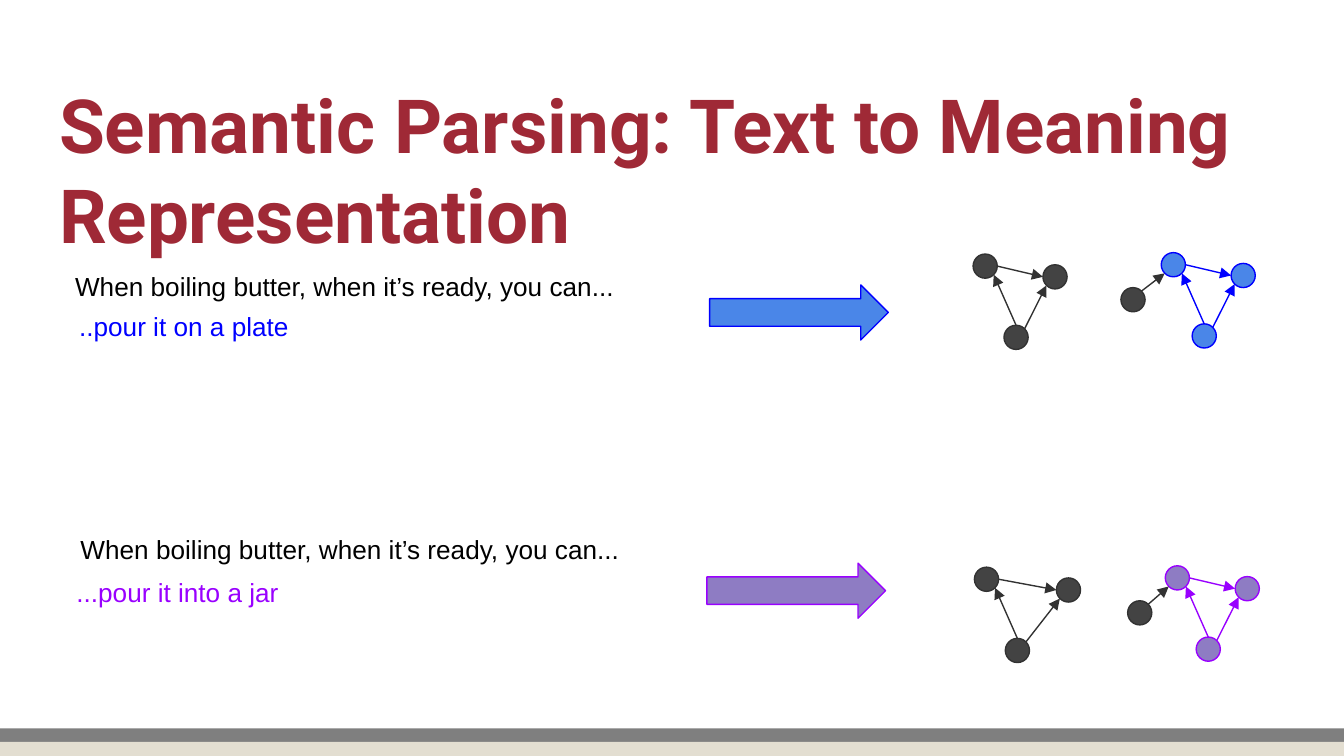
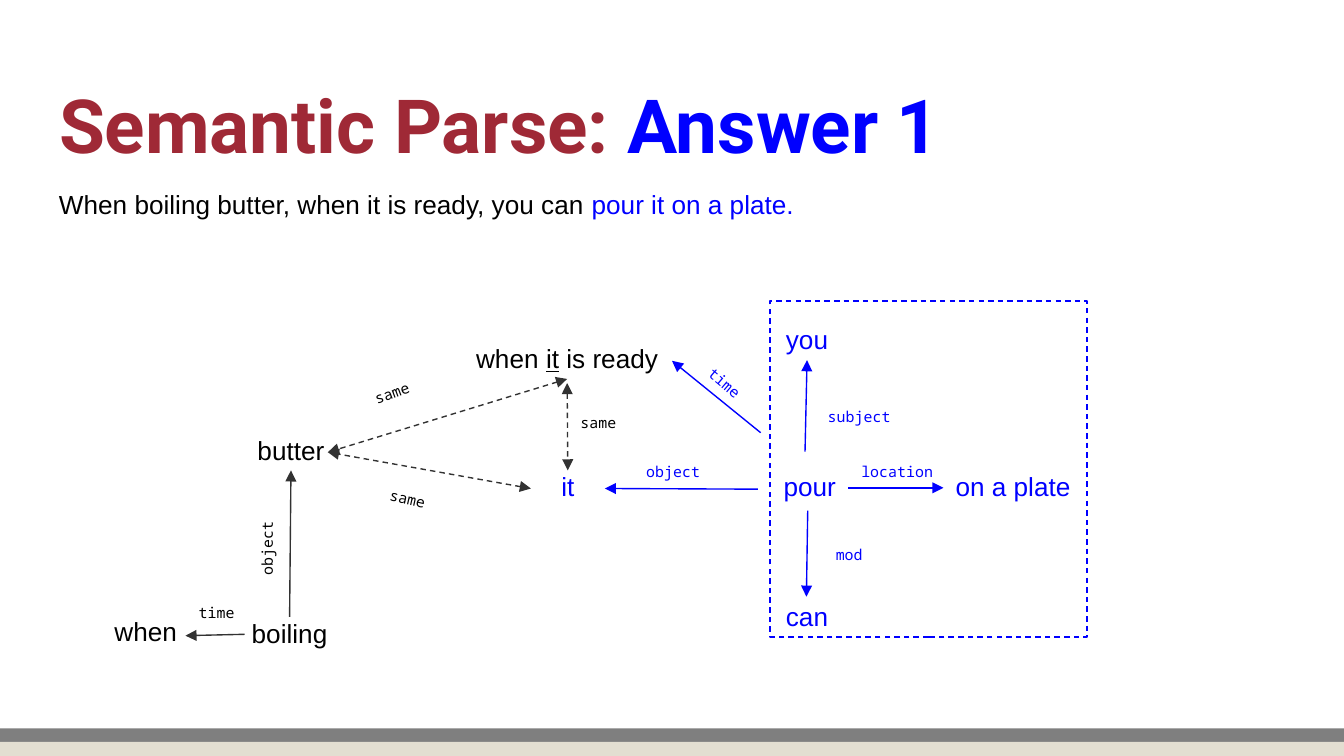
from dataclasses import dataclass

from lxml.etree import SubElement
from pptx import Presentation
from pptx.dml.color import RGBColor
from pptx.enum.dml import MSO_LINE
from pptx.enum.shapes import MSO_CONNECTOR, MSO_SHAPE
from pptx.enum.text import MSO_ANCHOR, MSO_AUTO_SIZE, PP_ALIGN
from pptx.oxml.ns import qn
from pptx.util import Inches, Pt

BLACK, INK, NODE = "000000", "323232", "434343"
BLUE, SKY = "0000FF", "4A86E8"
VIOLET, LILAC = "9900FF", "8E7CC3"
CRIMSON, GRAY, SAND = "9F2936", "7F7F7F", "E3DED1"
DOT = 0.18
TITLE_BOX = (0.34, 0.49, 9.32, 0.63)


def paint(color_format, value):
    color_format.rgb = RGBColor.from_string(value)


def draw_shape(shapes, kind, box, fill=None, line=None):
    shape = shapes.add_shape(kind, *map(Inches, box))
    shape.shadow.inherit = False
    if fill:
        shape.fill.solid()
        paint(shape.fill.fore_color, fill)
    else:
        shape.fill.background()
    if line:
        paint(shape.line.color, line)
        shape.line.width = Pt(0.75)
    else:
        shape.line.fill.background()
    return shape


def draw_line(shapes, start, end, color=INK, dashed=False, both=False):
    line = shapes.add_connector(MSO_CONNECTOR.STRAIGHT, *map(Inches, (*start, *end)))
    paint(line.line.color, color)
    line.line.width = Pt(0.75)
    if dashed:
        line.line.dash_style = MSO_LINE.DASH
    stroke = line.line._get_or_add_ln()
    if both:
        SubElement(stroke, qn("a:headEnd"), type="triangle")
    SubElement(stroke, qn("a:tailEnd"), type="triangle")
    SubElement(line.element.spPr, qn("a:effectLst"))
    return line


def fill_text(frame, parts, size, font, color, inset=0.1, align=PP_ALIGN.LEFT, bold=False):
    frame.word_wrap = True
    frame.auto_size = MSO_AUTO_SIZE.NONE
    frame.vertical_anchor = MSO_ANCHOR.TOP
    frame.margin_left = frame.margin_right = Inches(inset)
    frame.margin_top = frame.margin_bottom = Inches(inset)
    paragraph = frame.paragraphs[0]
    paragraph.alignment = align
    paragraph.font.size = Pt(size)
    paragraph.font.name = font
    paragraph.font.bold = bold
    paint(paragraph.font.color, color)
    for words, accent, underline in parts:
        run = paragraph.add_run()
        run.text = words
        if accent:
            paint(run.font.color, accent)
        if underline:
            run.font.underline = True


def plain(words):
    return [(words, None, False)]


def write(shapes, box, parts, color=BLACK, size=14, font="Arial", **style):
    label = shapes.add_textbox(*map(Inches, box))
    fill_text(label.text_frame, parts, size, font, color, **style)
    return label


def add_titled_slide(prs, parts):
    slide = prs.slides.add_slide(prs.slide_layouts[5])
    title = slide.shapes.title
    title.left, title.top, title.width, title.height = map(Inches, TITLE_BOX)
    fill_text(title.text_frame, parts, 40, "Roboto", CRIMSON, bold=True)
    return slide


def add_bands(prs, slide):
    master = prs.slide_master.shapes.element
    bands = [(5.42, 0.22, GRAY), (5.52, 0.11, SAND)]
    for order, (top, height, color) in enumerate(bands):
        band = draw_shape(slide.shapes, MSO_SHAPE.RECTANGLE, (0, top, 10, height), color)
        band.element.nvSpPr.cNvPr.set("id", str(20 + order))
        master.insert(2 + order, band.element)


def rim(dot, across, down):
    reach = DOT / 2 * (0.71 if across and down else 1)
    return dot[0] + DOT / 2 + across * reach, dot[1] + DOT / 2 + down * reach


def draw_dot(shapes, dot, fill, line):
    draw_shape(shapes, MSO_SHAPE.OVAL, (*dot, DOT, DOT), fill, line)


def draw_triangle(shapes, left, top, fill, line, spread=0.52):
    first, second, third = (left, top), (left + spread, top + 0.08), (left + 0.23, top + 0.53)
    for dot in (first, second, third):
        draw_dot(shapes, dot, fill, line)
    draw_line(shapes, rim(first, 1, 0), rim(second, -1, 0), line)
    draw_line(shapes, rim(third, 0, -1), rim(first, 1, 1), line)
    draw_line(shapes, rim(third, 1, -1), rim(second, -1, 1), line)


@dataclass
class Reading:
    top: float
    answer: str
    fill: str
    line: str
    prompt_at: tuple
    answer_at: tuple
    arrow_at: tuple
    context_at: tuple
    meaning_at: tuple
    lead_at: tuple
    context_spread: float


READINGS = [
    Reading(1.88, "..pour it on a plate", SKY, BLUE, (0.46, 0.03), (0.49, 0.33),
            (5.28, 0.24), (7.24, 0.01), (8.64, 0), (8.34, 0.26), 0.52),
    Reading(3.87, "...pour it into a jar", LILAC, VIOLET, (0.5, 0), (0.47, 0.32),
            (5.26, 0.32), (7.25, 0.35), (8.67, 0.34), (8.39, 0.6), 0.61),
]


def add_reading(slide, reading):
    shapes = slide.shapes.add_group_shape().shapes

    def place(spot):
        return spot[0], reading.top + spot[1]

    write(shapes, (*place(reading.prompt_at), 4.79, 0.67),
          plain("When boiling butter, when it’s ready, you can..."))
    write(shapes, (*place(reading.answer_at), 4.21, 0.41), plain(reading.answer), reading.line)
    draw_shape(shapes, MSO_SHAPE.RIGHT_ARROW, (*place(reading.arrow_at), 1.33, 0.41),
               reading.fill, reading.line)
    draw_triangle(shapes, *place(reading.context_at), NODE, INK, reading.context_spread)
    meaning, lead = place(reading.meaning_at), place(reading.lead_at)
    draw_triangle(shapes, *meaning, reading.fill, reading.line)
    draw_dot(shapes, lead, NODE, INK)
    draw_line(shapes, rim(lead, 1, -1), rim(meaning, -1, 1))


WORDS = [
    ("boiling", (1.67, 4.59, 0.97, 0.25), BLACK, PP_ALIGN.CENTER),
    ("butter", (1.89, 3.23, 0.55, 0.27), BLACK, PP_ALIGN.CENTER),
    ("when", (0.57, 4.58, 1.03, 0.27), BLACK, PP_ALIGN.CENTER),
    ("you", (5.73, 2.41, 0.55, 0.27), BLUE, PP_ALIGN.CENTER),
    ("can", (5.73, 4.47, 0.55, 0.27), BLUE, PP_ALIGN.CENTER),
    ("on a plate", (7.11, 3.5, 1.3, 0.27), BLUE, PP_ALIGN.LEFT),
    ("pour", (5.83, 3.5, 1.19, 0.27), BLUE, PP_ALIGN.LEFT),
    ("it", (3.95, 3.5, 0.55, 0.27), BLUE, PP_ALIGN.CENTER),
]

RELATIONS = [
    ("object", 1.58, 3.83, BLACK, 270),
    ("time", 1.38, 4.39, BLACK, 0),
    ("time", 5.13, 2.79, BLUE, 40.2),
    ("location", 6.31, 3.34, BLUE, 0),
    ("object", 4.71, 3.34, BLUE, 0),
    ("subject", 6.06, 2.93, BLUE, 359.9),
    ("mod", 6.12, 3.96, BLUE, 0),
    ("same", 2.8, 3.58, BLACK, 12.7),
    ("same", 2.67, 2.7, BLACK, 339.5),
    ("same", 4.22, 2.98, BLACK, 0),
]

EDGES = [
    (("boiling", 0), ("butter", 2), INK),
    ((1.82, 4.72), (1.38, 4.73), INK),
    ((5.66, 3.22), ("ready", 3), BLUE),
    ((5.64, 3.64), ("it", 3), BLUE),
    ((5.99, 3.36), ("you", 2), BLUE),
    ((6.01, 3.8), (6, 4.44), BLUE),
    ((6.31, 3.63), (7.02, 3.63), BLUE),
]

SAME_EDGES = [
    (("ready", 2), ("butter", 3)),
    (("it", 1), ("butter", 3)),
    ((4.22, 2.85), ("it", 0)),
]


def join(shapes, words, start, end, **style):
    ends = [(0, 0) if isinstance(spot[0], str) else spot for spot in (start, end)]
    edge = draw_line(shapes, *ends, **style)
    if isinstance(start[0], str):
        edge.begin_connect(words[start[0]], start[1])
    if isinstance(end[0], str):
        edge.end_connect(words[end[0]], end[1])


def add_parse_graph(slide, box):
    left, top = box
    shapes = slide.shapes

    def spot(end):
        return end if isinstance(end[0], str) else (left + end[0], top + end[1])

    def area(x, y, width, height):
        return left + x, top + y, width, height

    frame = draw_shape(shapes, MSO_SHAPE.RECTANGLE, area(5.73, 2.24, 2.36, 2.5), line=BLUE)
    frame.line.dash_style = MSO_LINE.DASH
    words = {word: write(shapes, area(*place), plain(word), color, inset=0, align=align)
             for word, place, color, align in WORDS}
    words["ready"] = write(
        shapes, area(3.44, 2.55, 1.56, 0.27),
        [("when ", None, False), ("it", None, True), (" is ready", None, False)],
        inset=0, align=PP_ALIGN.CENTER)
    for start, end, color in EDGES:
        join(shapes, words, spot(start), spot(end), color=color)
    for start, end in SAME_EDGES:
        join(shapes, words, spot(start), spot(end), dashed=True, both=True)
    for relation, x, y, color, turn in RELATIONS:
        label = write(shapes, area(x, y, 0.79, 0.31), plain(relation), color, 8, "Noto Sans Mono")
        label.rotation = turn


def main():
    prs = Presentation()
    prs.slide_width = Inches(10)
    prs.slide_height = prs.slide_width * 9 // 16

    overview = add_titled_slide(prs, plain("Semantic Parsing: Text to Meaning Representation"))
    add_bands(prs, overview)
    for reading in READINGS:
        add_reading(overview, reading)

    answer = add_titled_slide(prs, [("Semantic Parse: ", None, False), ("Answer 1", BLUE, False)])
    write(answer.shapes, (0.34, 1.3, 5.96, 0.67),
          [("When boiling butter, when it is ready, you can ", None, False),
           ("pour it on a plate.", BLUE, False)])
    add_parse_graph(answer, (0, 0))
    prs.save("out.pptx")


if __name__ == "__main__":
    main()
